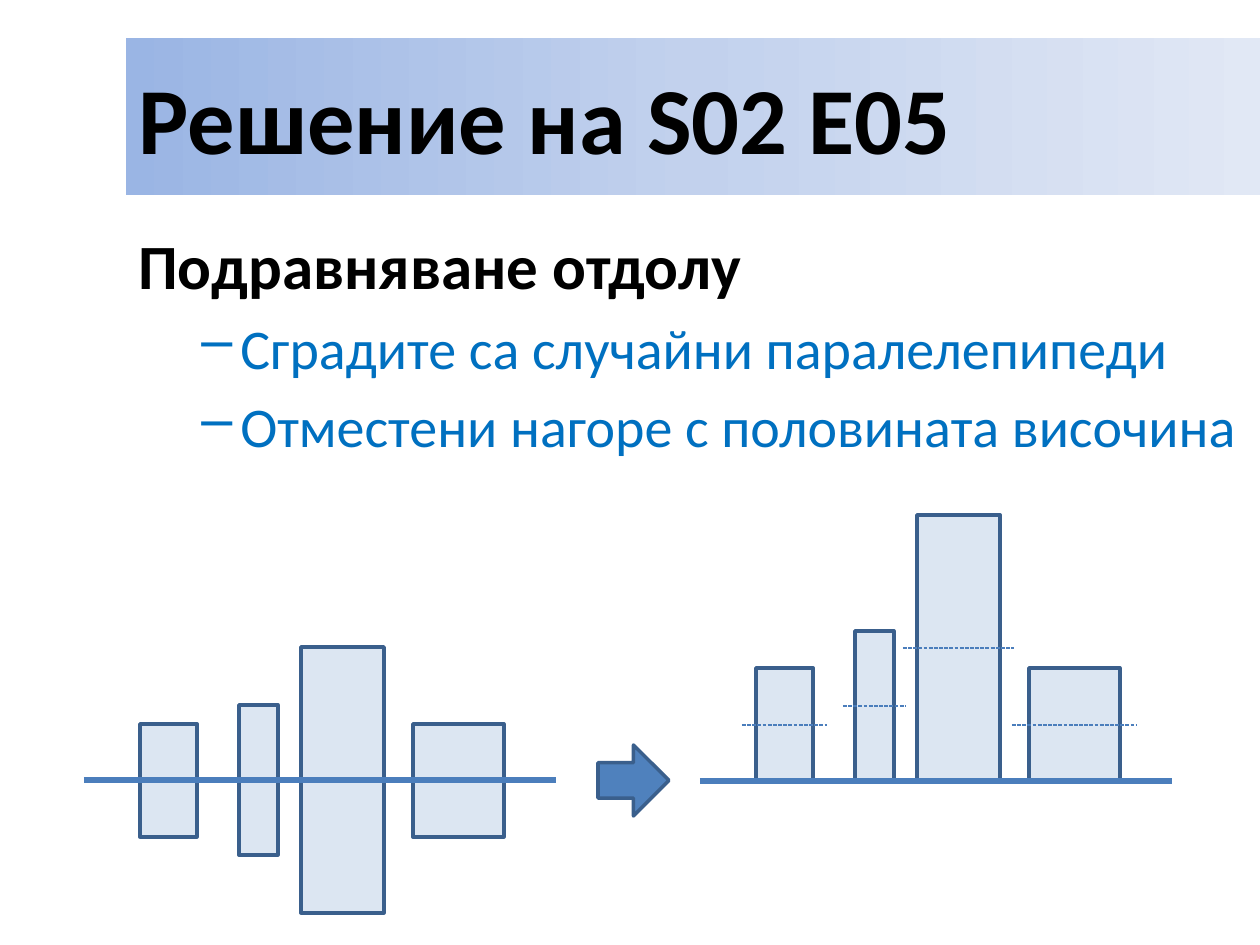
from copy import deepcopy

from lxml import etree
from pptx import Presentation
from pptx.dml.color import RGBColor
from pptx.enum.dml import MSO_LINE
from pptx.enum.shapes import MSO_CONNECTOR, MSO_SHAPE
from pptx.enum.text import MSO_ANCHOR, PP_ALIGN
from pptx.oxml.ns import qn
from pptx.util import Pt

RECTANGLE, ARROW = MSO_SHAPE.RECTANGLE, MSO_SHAPE.RIGHT_ARROW
STRAIGHT, DASH = MSO_CONNECTOR.STRAIGHT, MSO_LINE.SQUARE_DOT
LEFT, TOP, MIDDLE = PP_ALIGN.LEFT, MSO_ANCHOR.TOP, MSO_ANCHOR.MIDDLE
PX = 914400 // 126
FONT = "Calibri"
COLORS = {
    name: RGBColor.from_string(value)
    for name, value in {
        "black": "000000", "bullet": "0070C0", "building": "DCE6F2",
        "outline": "3A5F8C", "ground": "4B7EBC", "arrow": "4F81BD",
        "banner start": "9AB5E4", "banner middle": "C2D1ED", "banner end": "E1E8F5",
    }.items()
}


def add_block(shapes, kind, left, top, width, height, fill):
    block = shapes.add_shape(kind, left * PX, top * PX, width * PX, height * PX)
    block.shadow.inherit = False
    block.fill.solid()
    block.fill.fore_color.rgb = COLORS[fill]
    block.line.color.rgb = COLORS["outline"]
    block.line.width = Pt(2)
    return block


def add_level(shapes, left, right, y, weight):
    level = shapes.add_connector(STRAIGHT, left * PX, y * PX, right * PX, y * PX)
    level.line.color.rgb = COLORS["ground"]
    level.line.width = Pt(weight)
    etree.SubElement(level._element.spPr, qn("a:effectLst"))
    return level


deck = Presentation()
deck.slide_width, deck.slide_height = 1260 * PX, 945 * PX
page = deck.slides.add_slide(deck.slide_layouts[6])
shapes = page.shapes

# Title banner with a three-stop gradient
banner = add_block(shapes, RECTANGLE, 126, 38, 1134, 157, "building")
banner.line.fill.background()
banner.fill.gradient()
banner.fill.gradient_angle = 0
stops = banner.fill.gradient_stops
first_stop = stops[0]._gs
first_stop.addnext(deepcopy(first_stop))
for index, name in enumerate(("banner start", "banner middle", "banner end")):
    stop = banner.fill.gradient_stops[index]
    stop.color.rgb = COLORS[name]
    stop.position = index / 2
banner.text_frame.word_wrap = True
banner.text_frame.vertical_anchor = MIDDLE
para = banner.text_frame.paragraphs[0]
para.text = "Решение на S02 E05"
para.alignment = LEFT
para.font.name, para.font.size, para.font.bold = FONT, Pt(54), True
para.font.color.rgb = COLORS["black"]

# Heading and its bullets
body = shapes.add_textbox(126 * PX, 220 * PX, 1134 * PX, 703 * PX)
frame = body.text_frame
frame.word_wrap = True
frame.vertical_anchor = TOP
lines = [
    ("Подравняване отдолу", 0, 36, "black"),
    ("Сградите са случайни паралелепипеди", 1, 32, "bullet"),
    ("Отместени нагоре с половината височина", 1, 32, "bullet"),
]
for index, (text, depth, size, color) in enumerate(lines):
    para = frame.add_paragraph() if index else frame.paragraphs[0]
    para.text = text
    para.level = depth
    para.space_before = Pt(size * 0.2)
    para.font.name, para.font.size, para.font.bold = FONT, Pt(size), depth == 0
    para.font.color.rgb = COLORS[color]
    if depth:
        properties = para._p.get_or_add_pPr()
        properties.set("marL", str(102 * PX))
        properties.set("indent", str(-39 * PX))
        bullet = etree.Element(qn("a:buChar"), char="–")
        properties.find(qn("a:defRPr")).addprevious(bullet)

# Buildings: left, width, height, overhang of the dashed middle line
buildings = [(140, 57, 113, 14), (239, 39, 150, 12), (301, 83, 266, 14), (413, 91, 113, 17)]
ground, shift = 780, 616

# Before: buildings centred on the ground line
for left, width, height, overhang in buildings:
    add_block(shapes, RECTANGLE, left, ground - height // 2, width, height, "building")
add_level(shapes, 84, 556, ground, 3)

# After: buildings standing on the ground line, old middles dashed
for left, width, height, overhang in reversed(buildings):
    group = shapes.add_group_shape().shapes
    left += shift
    add_block(group, RECTANGLE, left, ground + 1 - height, width, height, "building")
    middle = add_level(group, left - overhang, left + width + overhang,
                       ground + 1 - height // 2, 0.75)
    middle.line.dash_style = DASH
add_block(shapes, ARROW, 598, 745, 71, 71, "arrow")
add_level(shapes, 84 + shift, 556 + shift, ground + 1, 3)

deck.save("out.pptx")
